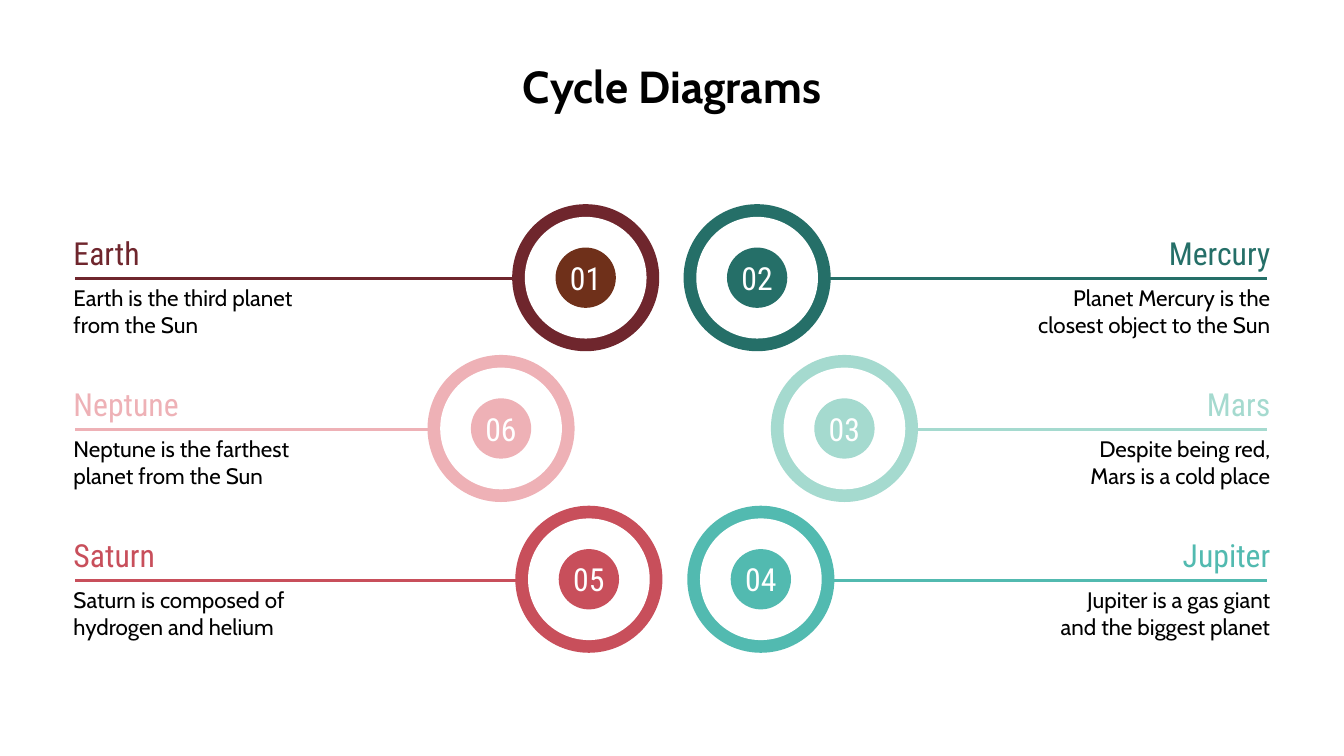
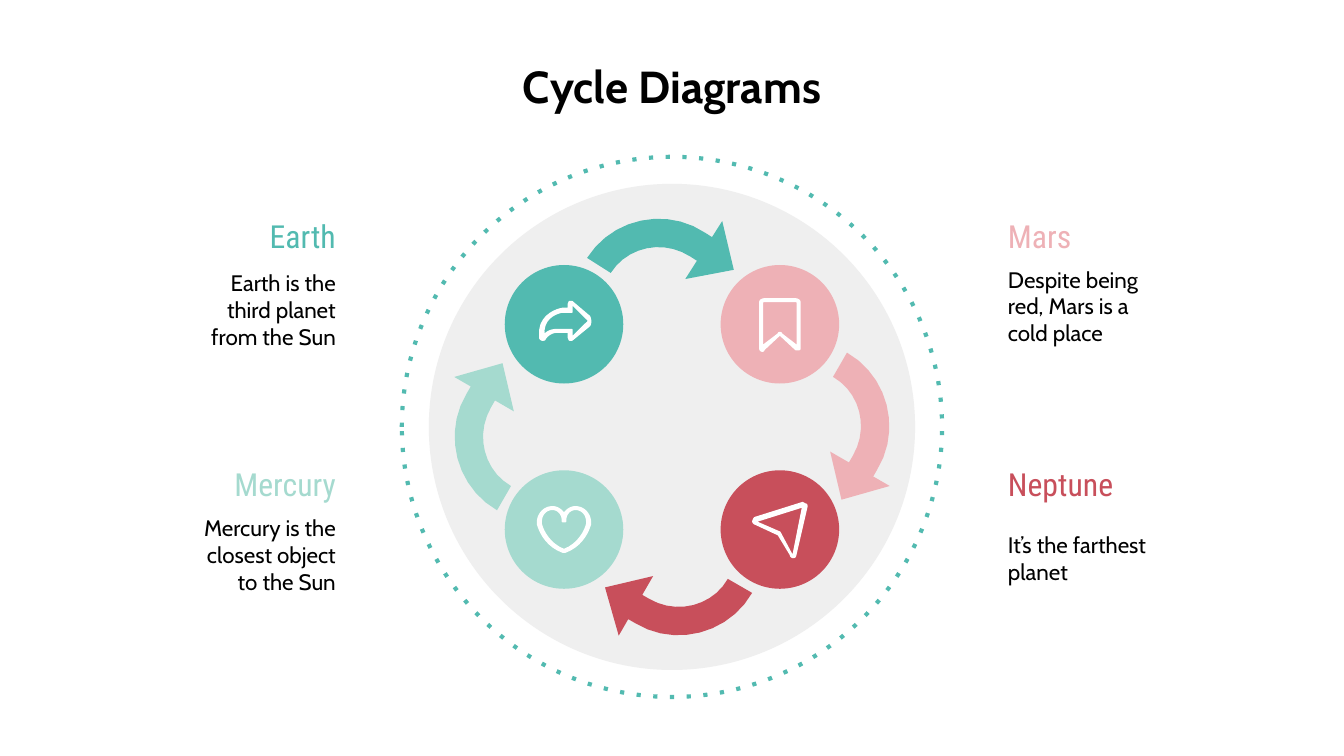
from lxml import etree
from pptx import Presentation
from pptx.dml.color import RGBColor
from pptx.enum.shapes import MSO_CONNECTOR, MSO_SHAPE
from pptx.enum.text import MSO_ANCHOR, MSO_AUTO_SIZE, PP_ALIGN
from pptx.oxml.ns import qn
from pptx.util import Cm, Pt

LEFT, CENTER, RIGHT = PP_ALIGN.LEFT, PP_ALIGN.CENTER, PP_ALIGN.RIGHT
TOP, MIDDLE = MSO_ANCHOR.TOP, MSO_ANCHOR.MIDDLE
ELLIPSE, STRAIGHT = MSO_SHAPE.OVAL, MSO_CONNECTOR.STRAIGHT
NO_AUTOFIT = MSO_AUTO_SIZE.NONE
TITLE_ONLY = 5

BODY_FONT, HEADING_FONT = "Cabin", "Roboto Condensed"
BLACK, WHITE, GRAY = "000000", "FFFFFF", "EFEFEF"
WINE, BROWN, RED, PINK = "6F262D", "6F301A", "C84F5B", "EEB1B6"
GREEN, TEAL, MINT = "256F68", "52BAB0", "A5DACF"

INSET = 0.25
HEADING_HEIGHT = 1.19
RIGHT_TEXT_LEFT = 18.8

# Outlines in cm: a pair is a corner, six numbers are a Bézier curve
ARROW_SIZE = (2.46, 1.96)
ARROW = [[(1.78, 0), (1.78, 0.36), (1.63, 0.36), (0.74, 0.34, 0, 1.07, 0, 1.96),
          (0.53, 1.96), (0.53, 1.37, 1.02, 0.89, 1.63, 0.89), (1.78, 0.89),
          (1.78, 1.3), (2.46, 0.66)]]

# Icon outlines around the centre of their disc: outer edge, then inner edge
SHARE = [
    [(0.15, -0.43), (0.1, -0.43), (0.08, -0.38), (0.08, -0.3), (-0.03, -0.3),
     (-0.03, -0.3, -0.51, -0.23, -0.46, 0.25), (-0.46, 0.28, -0.43, 0.3, -0.41, 0.3),
     (-0.38, 0.3, -0.36, 0.3, -0.36, 0.28), (-0.33, 0.23, -0.25, 0.15, -0.13, 0.15),
     (0.08, 0.15), (0.08, 0.25), (0.1, 0.3), (0.15, 0.3), (0.48, 0.03),
     (0.51, 0, 0.51, -0.1, 0.48, -0.15)],
    [(0.15, -0.38), (0.43, -0.1), (0.46, -0.1, 0.46, -0.03, 0.43, -0.03),
     (0.15, 0.25), (0.15, 0.1), (-0.13, 0.1), (-0.25, 0.1, -0.36, 0.15, -0.38, 0.23),
     (-0.43, -0.18, -0.03, -0.23, -0.03, -0.23), (0.15, -0.23)],
]
BOOKMARK = [
    [(-0.28, -0.48), (-0.33, -0.48, -0.38, -0.46, -0.38, -0.41), (-0.38, 0.46),
     (-0.38, 0.48, -0.36, 0.51, -0.33, 0.51), (-0.32, 0.51, -0.3, 0.5, -0.3, 0.48),
     (0, 0.2), (0.3, 0.48), (0.36, 0.48), (0.38, 0.48, 0.38, 0.46, 0.38, 0.46),
     (0.38, -0.41), (0.38, -0.46, 0.33, -0.48, 0.28, -0.48)],
    [(0.28, -0.43), (0.3, -0.43, 0.33, -0.43, 0.33, -0.41), (0.33, 0.41),
     (0.03, 0.18), (0.03, 0.15, -0.03, 0.15, -0.03, 0.18), (-0.33, 0.41),
     (-0.33, -0.41), (-0.33, -0.43, -0.3, -0.43, -0.28, -0.43)],
]
PLANE = [
    [(0.43, -0.51), (-0.46, -0.23), (-0.48, -0.23, -0.51, -0.18, -0.51, -0.15),
     (-0.51, -0.13, -0.48, -0.1, -0.46, -0.1), (-0.03, 0.1), (0.2, 0.48),
     (0.2, 0.51, 0.23, 0.53, 0.25, 0.53), (0.28, 0.53, 0.3, 0.51, 0.3, 0.48),
     (0.51, -0.43), (0.51, -0.46, 0.51, -0.48, 0.48, -0.48)],
    [(0.43, -0.43), (0.25, 0.48), (0.23, 0.48), (0, 0.05), (-0.46, -0.15)],
]
HEART = [
    [(0, -0.3), (0.05, -0.38, 0.13, -0.43, 0.22, -0.43),
     (0.38, -0.43, 0.5, -0.29, 0.5, -0.14), (0.5, -0.1),
     (0.48, -0.03, 0.38, 0.3, 0.02, 0.43), (-0.02, 0.43),
     (-0.38, 0.3, -0.48, -0.03, -0.5, -0.1), (-0.5, -0.14),
     (-0.5, -0.29, -0.38, -0.43, -0.22, -0.43), (-0.13, -0.43, -0.05, -0.38, 0, -0.3)],
    [(0.22, -0.38), (0.34, -0.38, 0.43, -0.28, 0.43, -0.15), (0.43, -0.11),
     (0.43, -0.1, 0.35, 0.24, 0, 0.38), (-0.35, 0.24, -0.43, -0.1, -0.43, -0.11),
     (-0.43, -0.15), (-0.43, -0.28, -0.34, -0.38, -0.22, -0.38),
     (-0.11, -0.38, -0.03, -0.29, -0.03, -0.17), (-0.03, -0.15), (0.03, -0.15),
     (0.03, -0.17), (0.03, -0.29, 0.11, -0.38, 0.22, -0.38)],
]

# Slide 1: number, row, ring centre, ring colour, disc colour, on the right, texts
PLANETS = [
    ("01", 0, 11.07, WINE, BROWN, False, "Earth", "Earth is the third planet from the Sun"),
    ("02", 0, 14.31, GREEN, GREEN, True, "Mercury",
     "Planet Mercury is the closest object to the Sun"),
    ("03", 1, 15.96, MINT, MINT, True, "Mars", "Despite being red,\vMars is a cold place"),
    ("04", 2, 14.38, TEAL, TEAL, True, "Jupiter",
     "Jupiter is a gas giant\vand the biggest planet"),
    ("05", 2, 11.13, RED, RED, False, "Saturn", "Saturn is composed of hydrogen and helium"),
    ("06", 1, 9.47, PINK, PINK, False, "Neptune",
     "Neptune is the farthest planet from the Sun"),
]

# Slide 2: column, row, colour, icon, arrow centre, arrow angle, body height, texts
STAGES = [
    (0, 0, TEAL, SHARE, (12.66, 4.71), 32.5, 1.6, "Earth",
     "Earth is the third planet from the Sun"),
    (1, 0, PINK, BOOKMARK, (16.24, 8.22), 120, 1.47, "Mars",
     "Despite being red, Mars is a cold place"),
    (1, 1, RED, PLANE, (12.66, 11.44), 210, 1.6, "Neptune", "It’s the farthest planet"),
    (0, 1, MINT, HEART, (9.16, 8.09), 300, 1.47, "Mercury",
     "Mercury is the closest object to the Sun"),
]


def rgb(color):
    return RGBColor.from_string(color)


def write(shape, text, size=12, font=BODY_FONT, color=BLACK, bold=False,
          align=LEFT, anchor=MIDDLE, side_inset=INSET):
    frame = shape.text_frame
    frame.word_wrap = True
    frame.auto_size = NO_AUTOFIT
    frame.vertical_anchor = anchor
    frame.margin_left = frame.margin_right = Cm(side_inset)
    frame.margin_top = frame.margin_bottom = Cm(INSET)
    paragraph = frame.paragraphs[0]
    paragraph.text = text
    paragraph.alignment = align
    for run in paragraph.runs:
        run.font.size = Pt(size)
        run.font.name = font
        run.font.bold = bold
        run.font.color.rgb = rgb(color)


def paint(shape, fill=None, line=None, width=0.75):
    shape.shadow.inherit = False
    if fill:
        shape.fill.solid()
        shape.fill.fore_color.rgb = rgb(fill)
    else:
        shape.fill.background()
    if line:
        shape.line.color.rgb = rgb(line)
        shape.line.width = Pt(width)
    else:
        shape.line.fill.background()


def add_circle(slide, x, y, diameter, **colors):
    """Circle around the centre x, y."""
    shape = slide.shapes.add_shape(ELLIPSE, Cm(x - diameter / 2), Cm(y - diameter / 2),
                                   Cm(diameter), Cm(diameter))
    paint(shape, **colors)
    return shape


def flatten(outline, steps=10):
    """Turn corners and curves into a list of points."""
    points = []
    for step in outline:
        if len(step) == 2:
            points.append(step)
            continue
        controls = [points[-1], step[:2], step[2:4], step[4:]]
        for index in range(1, steps + 1):
            t = index / steps
            weights = ((1 - t) ** 3, 3 * t * (1 - t) ** 2, 3 * t * t * (1 - t), t ** 3)
            points.append(tuple(sum(weight * point[axis]
                                    for weight, point in zip(weights, controls))
                                for axis in (0, 1)))
    return points


def add_outline(slide, x, y, outlines, **colors):
    builder = None
    for outline in outlines:
        points = [(Cm(x + dx), Cm(y + dy)) for dx, dy in flatten(outline)]
        if builder is None:
            builder = slide.shapes.build_freeform(*points[0])
        else:
            builder.move_to(*points[0])
        builder.add_line_segments(points[1:], close=True)
    shape = builder.convert_to_shape()
    paint(shape, **colors)
    return shape


def add_rule(slide, left, right, y, color):
    line = slide.shapes.add_connector(STRAIGHT, Cm(left), Cm(y), Cm(right), Cm(y))
    line.line.color.rgb = rgb(color)
    line.line.width = Pt(1.5)
    etree.SubElement(line.element.spPr, qn("a:effectLst"))


def add_label(slide, left, top, width, heading, body, color, align, body_offset, body_height):
    """Coloured heading with a body text below it."""
    box = slide.shapes.add_textbox(Cm(left), Cm(top), Cm(width), Cm(HEADING_HEIGHT))
    write(box, heading, size=17, font=HEADING_FONT, color=color, align=align)
    box = slide.shapes.add_textbox(Cm(left), Cm(top + body_offset), Cm(width), Cm(body_height))
    write(box, body, align=align)


def add_titled_slide(presentation, title_text):
    slide = presentation.slides.add_slide(presentation.slide_layouts[TITLE_ONLY])
    title = slide.shapes.title
    title.left, title.top, title.width, title.height = Cm(0.5), Cm(0.86), Cm(24.4), Cm(1.6)
    write(title, title_text, size=24, bold=True, align=CENTER, anchor=TOP)
    return slide


def add_ring(slide, x, y, number, ring_color, disc_color):
    add_circle(slide, x, y, 2.78, fill=ring_color)
    add_circle(slide, x, y, 2.3, fill=WHITE)
    disc = add_circle(slide, x, y, 1.14, fill=disc_color)
    write(disc, number, size=17, font=HEADING_FONT, color=WHITE, align=CENTER, side_inset=0)


def build_ring_slide(presentation, top=4.19, pitch=2.85):
    slide = add_titled_slide(presentation, "Cycle Diagrams")
    for number, row, x, ring_color, disc_color, on_right, heading, body in PLANETS:
        row_top = top + row * pitch
        start, end = (14.73, 23.95) if on_right else (1.42, 10.67)
        add_rule(slide, start, end, row_top + 1.08, ring_color)
        add_label(slide, RIGHT_TEXT_LEFT if on_right else 1.14, row_top, 5.46, heading, body,
                  ring_color, RIGHT if on_right else LEFT, body_offset=0.96, body_height=1.47)
        add_ring(slide, x, row_top + 1.06, number, ring_color, disc_color)


def add_backdrop(slide, x, y):
    add_circle(slide, x, y, 9.19, fill=GRAY)
    orbit = add_circle(slide, x, y, 10.21, line=TEAL, width=2.25)
    outline = orbit.element.spPr.find(qn("a:ln"))
    etree.SubElement(outline, qn("a:prstDash")).set("val", "dot")


def build_arrow_slide(presentation, x=12.7, y=8.07):
    slide = add_titled_slide(presentation, "Cycle Diagrams")
    add_backdrop(slide, x, y)
    for column, row, color, icon, arrow_center, angle, height, heading, body in STAGES:
        # Disc with its icon
        disc_x, disc_y = x + (2 * column - 1) * 2.04, y + (2 * row - 1) * 1.94
        add_circle(slide, disc_x, disc_y, 2.24, fill=color)
        add_outline(slide, disc_x, disc_y, icon, fill=WHITE, line=WHITE)
        # Arrow to the next disc
        arrow = add_outline(slide, arrow_center[0] - ARROW_SIZE[0] / 2,
                            arrow_center[1] - ARROW_SIZE[1] / 2, ARROW, fill=color)
        arrow.rotation = angle
        # Text beside the circle
        add_label(slide, RIGHT_TEXT_LEFT if column else 3.3, 3.86 + row * 4.7, 3.3, heading,
                  body, color, LEFT if column else RIGHT, body_offset=1.19, body_height=height)


def main():
    presentation = Presentation()
    presentation.slide_width, presentation.slide_height = Cm(25.4), Cm(14.29)
    build_ring_slide(presentation)
    build_arrow_slide(presentation)
    presentation.save("out.pptx")


if __name__ == "__main__":
    main()
